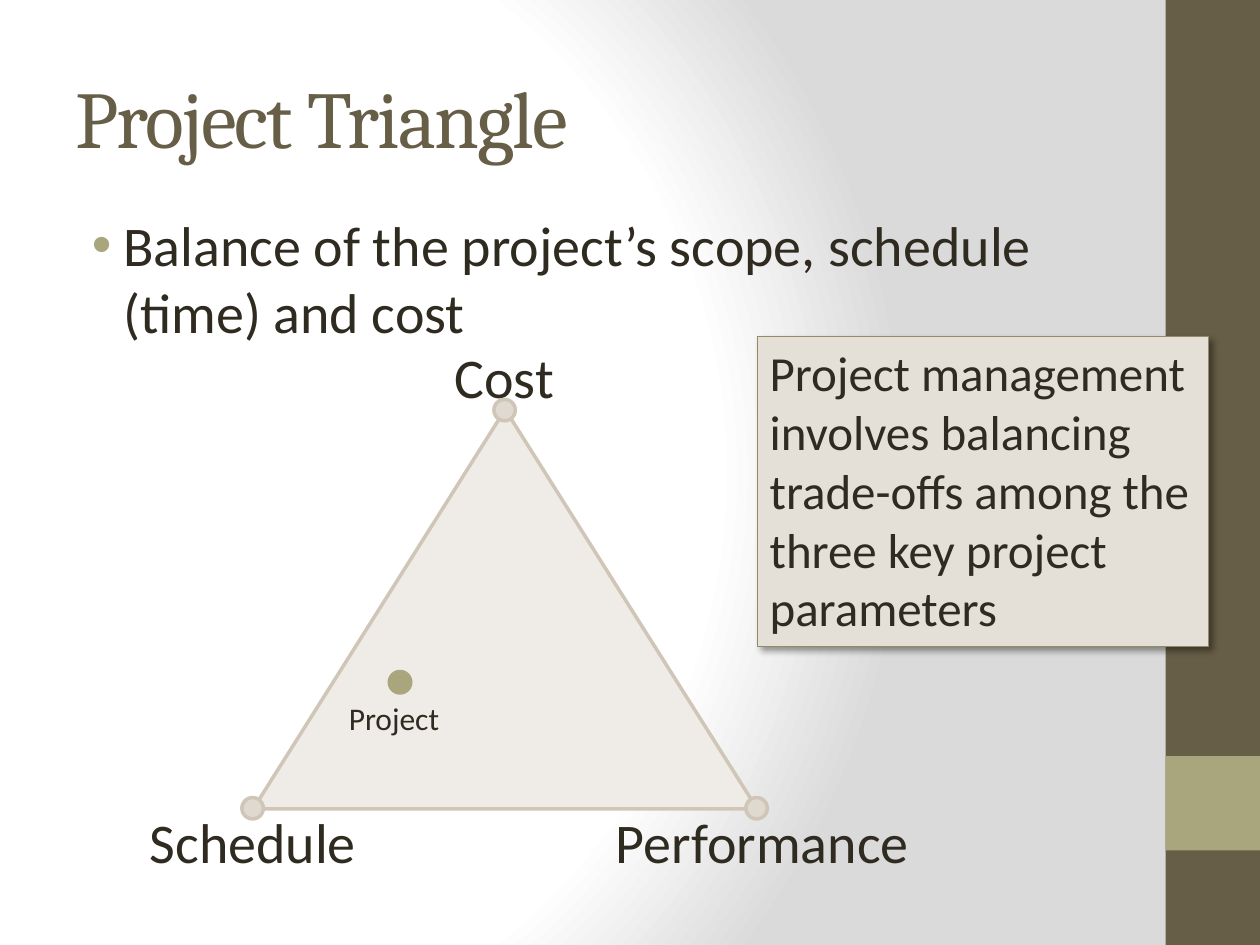
import pptx
import pptx.util
import pptx.oxml
import pptx.oxml.ns
import pptx.dml.color
import pptx.enum.shapes
import pptx.enum.text

Inches = pptx.util.Inches
Pt = pptx.util.Pt
SHAPE = pptx.enum.shapes.MSO_SHAPE
ANCHOR = pptx.enum.text.MSO_ANCHOR
NS = pptx.oxml.ns.nsdecls("a", "p")

COLORS = {
    "brown": "675E47",
    "olive": "A9A57C",
    "ink": "2F2B20",
    "triangle": "EFECE7",
    "corner": "E0D9D0",
    "edge": "D0C6B8",
    "note": "E4E0D7",
    "note_edge": "968966",
}


def add_figure(kind, box, fill, line=None, width=2):
    figure = slide.shapes.add_shape(kind, *[Inches(v) for v in box])
    figure.shadow.inherit = False
    figure.fill.solid()
    figure.fill.fore_color.rgb = pptx.dml.color.RGBColor.from_string(COLORS[fill])
    if line:
        figure.line.color.rgb = pptx.dml.color.RGBColor.from_string(COLORS[line])
        figure.line.width = Pt(width)
    else:
        figure.line.fill.background()
    return figure


def write(shape, text, size, color="ink", font="Calibri", wrap=True, anchor=ANCHOR.TOP):
    frame = shape.text_frame
    frame.word_wrap = wrap
    frame.vertical_anchor = anchor
    paragraph = frame.paragraphs[0]
    paragraph.text = text
    paragraph.alignment = pptx.enum.text.PP_ALIGN.LEFT
    run = paragraph.runs[0]
    run.font.size = Pt(size)
    run.font.name = font
    run.font.color.rgb = pptx.dml.color.RGBColor.from_string(COLORS[color])
    return paragraph


deck = pptx.Presentation()
deck.slide_width = Inches(10)
deck.slide_height = Inches(7.5)
slide = deck.slides.add_slide(deck.slide_layouts[6])

slide.element.cSld.insert(0, pptx.oxml.parse_xml(
    f'<p:bg {NS}><p:bgPr><a:gradFill rotWithShape="1"><a:gsLst>'
    '<a:gs pos="0"><a:srgbClr val="FFFFFF"/></a:gs>'
    '<a:gs pos="75000"><a:srgbClr val="FFFFFF"/></a:gs>'
    '<a:gs pos="100000"><a:srgbClr val="DADADA"/></a:gs></a:gsLst>'
    '<a:path path="circle"><a:fillToRect l="20000" t="50000" r="100000" b="50000"/></a:path>'
    '</a:gradFill><a:effectLst/></p:bgPr></p:bg>'))

add_figure(SHAPE.RECTANGLE, (9.25, 0, 0.75, 7.5), "brown")
add_figure(SHAPE.RECTANGLE, (9.25, 6, 0.75, 0.75), "olive")

title = slide.shapes.add_textbox(Inches(0.5), Inches(0.3), Inches(8.33), Inches(1.25))
heading = write(title, "Project Triangle", 46, "brown", "Cambria", anchor=ANCHOR.MIDDLE)
heading.runs[0].font._element.set("spc", "-100")

definition = slide.shapes.add_textbox(Inches(0.5), Inches(1.62), Inches(8.59), Inches(1.26))
bullet = write(definition, "Balance of the project’s scope, schedule (time) and cost", 32)
bullet_format = bullet._p.get_or_add_pPr()
bullet_format.set("marL", str(Inches(0.38)))
bullet_format.set("indent", str(Inches(-0.25)))
for mark in (
    f'<a:buClr {NS}><a:srgbClr val="{COLORS["olive"]}"/></a:buClr>',
    f'<a:buFont {NS} typeface="Arial"/>',
    f'<a:buChar {NS} char="•"/>',
):
    bullet_format.append(pptx.oxml.parse_xml(mark))

add_figure(SHAPE.ISOSCELES_TRIANGLE, (2.01, 3.25, 4, 3.17), "triangle", "edge")

for name, left, top, width, height, size in (
    ("Cost", 3.51, 2.67, 1, 0.64, 32),
    ("Schedule", 1.09, 6.36, 1.86, 0.64, 32),
    ("Performance", 4.79, 6.36, 2.55, 0.64, 32),
    ("Project", 2.67, 5.5, 0.93, 0.4, 18),
):
    label = slide.shapes.add_textbox(Inches(left), Inches(top), Inches(width), Inches(height))
    write(label, name, size, wrap=False)

for left, top, fill, line in (
    (3.92, 3.17, "corner", "edge"),
    (1.92, 6.33, "corner", "edge"),
    (5.92, 6.33, "corner", "edge"),
    (3.09, 5.33, "olive", "olive"),
):
    add_figure(SHAPE.OVAL, (left, top, 0.17, 0.17), fill, line)

note = add_figure(SHAPE.RECTANGLE, (6.01, 2.67, 3.58, 2.46), "note", "note_edge", 0.75)
write(note, "Project management involves balancing trade-offs among the three key project parameters", 28)
note_effects = note._element.spPr.find(pptx.oxml.ns.qn("a:effectLst"))
note_effects.append(pptx.oxml.parse_xml(
    f'<a:outerShdw {NS} blurRad="{Pt(4)}" dist="{Pt(3)}" dir="2700000" algn="tl" rotWithShape="0">'
    '<a:srgbClr val="000000"><a:alpha val="40000"/></a:srgbClr></a:outerShdw>'))

deck.save("out.pptx")
